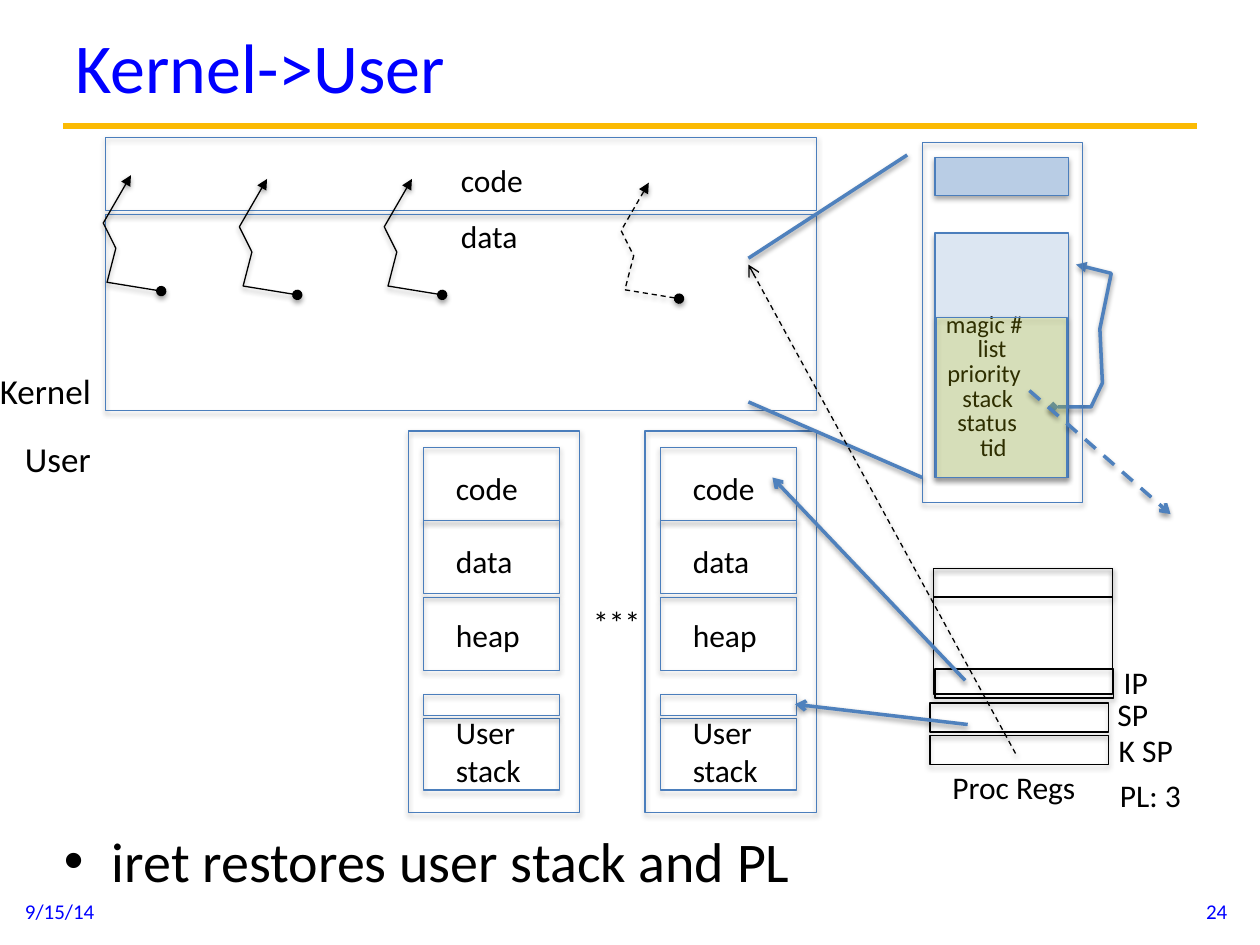
import pptx
import pptx.dml.color
import pptx.enum.dml
import pptx.enum.shapes
import pptx.enum.text
import pptx.oxml
import pptx.oxml.ns
import pptx.util

Inches = pptx.util.Inches
Pt = pptx.util.Pt
ANCHOR = pptx.enum.text.MSO_ANCHOR
ALIGN = pptx.enum.text.PP_ALIGN
NS = pptx.oxml.ns.nsdecls("a")

COLORS = {
    "black": "000000", "title": "0000FF", "rule": "FBBA03",
    "outline": "4B7EBC", "arrow": "4F81BD",
    "page": "DCE6F2", "code": "B9CDE5", "highlight": "FFFF00",
}


def rgb(name):
    return pptx.dml.color.RGBColor.from_string(COLORS[name])


def write_text(tf, text, size=18, color="black", align=ALIGN.LEFT,
               anchor=ANCHOR.TOP, wrap=False, bullet=False):
    """Fill a text frame, one paragraph for each line of text."""
    tf.word_wrap = wrap
    if not wrap:
        tf.auto_size = pptx.enum.text.MSO_AUTO_SIZE.SHAPE_TO_FIT_TEXT
    tf.vertical_anchor = anchor
    for i, line in enumerate(text.split("\n")):
        p = tf.paragraphs[0] if i == 0 else tf.add_paragraph()
        p.alignment = align
        if bullet:
            pPr = p._p.get_or_add_pPr()
            pPr.set("marL", str(Inches(0.38)))
            pPr.set("indent", str(-Inches(0.38)))
            pPr.append(pptx.oxml.parse_xml(f'<a:buFont {NS} typeface="Arial"/>'))
            pPr.append(pptx.oxml.parse_xml(f'<a:buChar {NS} char="•"/>'))
        r = p.add_run()
        r.text = line
        r.font.name = "Calibri"
        r.font.size = Pt(size)
        r.font.color.rgb = rgb(color)


class SlideBuilder:
    def __init__(self, slide):
        self.s = slide

    def text(self, x, y, w, h, text, **fmt):
        box = self.s.shapes.add_textbox(Inches(x), Inches(y), Inches(w), Inches(h))
        write_text(box.text_frame, text, **fmt)

    def shadow(self, sp, blur, dist, alpha):
        sp._element.spPr.append(pptx.oxml.parse_xml(
            f'<a:effectLst {NS}><a:outerShdw blurRad="{Pt(blur)}" dist="{Pt(dist)}" '
            f'dir="5400000" rotWithShape="0"><a:srgbClr val="{COLORS["black"]}">'
            f'<a:alpha val="{alpha * 1000}"/></a:srgbClr></a:outerShdw></a:effectLst>'))

    def rect(self, x, y, w, h, fill=None, line="outline", alpha=None):
        sp = self.s.shapes.add_shape(pptx.enum.shapes.MSO_SHAPE.RECTANGLE,
                                     Inches(x), Inches(y), Inches(w), Inches(h))
        if fill:
            sp.fill.solid()
            sp.fill.fore_color.rgb = rgb(fill)
        else:
            sp.fill.background()
        if alpha:
            clr = sp._element.spPr.find(".//" + pptx.oxml.ns.qn("a:srgbClr"))
            clr.append(pptx.oxml.parse_xml(f'<a:alpha {NS} val="{alpha * 1000}"/>'))
        sp.line.color.rgb = rgb(line)
        sp.line.width = Pt(0.75)
        self.shadow(sp, 3.1, 1.8, 35)

    def stroke(self, sp, color, width, dash, head, tail, shadow=True):
        sp.line.color.rgb = rgb(color)
        sp.line.width = Pt(width)
        if dash:
            sp.line.dash_style = pptx.enum.dml.MSO_LINE.DASH
        ln = sp._element.spPr.find(pptx.oxml.ns.qn("a:ln"))
        for tag, kind in (("headEnd", head), ("tailEnd", tail)):
            if kind:
                ln.append(pptx.oxml.parse_xml(f'<a:{tag} {NS} type="{kind}"/>'))
        if shadow:
            self.shadow(sp, 3.1, 1.6, 38)
        else:
            sp._element.spPr.append(pptx.oxml.parse_xml(f"<a:effectLst {NS}/>"))

    def line(self, start, end, color="arrow", width=2, dash=False, tail=None, shadow=True):
        cx = self.s.shapes.add_connector(
            pptx.enum.shapes.MSO_CONNECTOR.STRAIGHT,
            *(Inches(v) for v in (*start, *end)))
        self.stroke(cx, color, width, dash, None, tail, shadow)

    def path_line(self, points, color="black", width=0.75, dash=False, head="oval"):
        pts = [(Inches(x), Inches(y)) for x, y in points]
        fb = self.s.shapes.build_freeform(*pts[0])
        fb.add_line_segments(pts[1:], close=False)
        sp = fb.convert_to_shape()
        sp.fill.background()
        self.stroke(sp, color, width, dash, head, "triangle")

    def process(self, x):
        """User address space: labelled segments inside a frame."""
        for y, h in ((5.7, 0.57), (5.51, 0.17), (3.55, 0.58), (4.13, 0.58), (4.74, 0.58)):
            self.rect(x + 0.12, y, 1.08, h)
        for y, w, label in ((3.67, 0.7, "code"), (4.25, 0.66, "data"), (4.84, 0.73, "heap")):
            self.text(x + 0.28, y, w, 0.4, label)
        self.text(x + 0.28, 5.61, 0.73, 0.71, "User\nstack")
        self.rect(x, 3.42, 1.36, 3.03)

    def thread(self, x, y, dash=False):
        """Zigzag thread of execution running up into the code."""
        zigzag = ((0.46, 0.92), (0.03, 0.85), (0.1, 0.58), (0, 0.38), (0.22, 0))
        self.path_line([(x + dx, y + dy) for dx, dy in zigzag], dash=dash)


def main():
    prs = pptx.Presentation()
    prs.slide_width, prs.slide_height = Inches(10), Inches(7.5)
    b = SlideBuilder(prs.slides.add_slide(prs.slide_layouts[6]))

    # Title, bullet and footer
    b.line((0.5, 1), (9.5, 1), color="rule", width=3.75, shadow=False)
    b.text(0.5, 0.04, 9, 0.96, "Kernel->User", size=40, color="title",
           anchor=ANCHOR.MIDDLE, wrap=True)
    b.text(0.41, 6.51, 9, 0.64, "iret restores user stack and PL", size=32,
           wrap=True, bullet=True)
    footer = dict(size=12, color="title", anchor=ANCHOR.MIDDLE, wrap=True)
    b.text(0.1, 7.03, 2.33, 0.4, "9/15/14", **footer)
    b.text(7.51, 7.03, 2.33, 0.4, "24", align=ALIGN.RIGHT, **footer)

    # User processes
    b.text(-0.1, 2.88, 0.94, 0.44, "Kernel", size=20)
    b.text(0.1, 3.42, 0.73, 0.44, "User", size=20)
    for x in (5.12, 3.24):
        b.process(x)
    b.text(4.61, 4.74, 0.58, 0.4, "***")

    # Kernel memory
    b.rect(0.84, 1.09, 5.64, 0.58)
    b.text(3.56, 1.23, 0.7, 0.4, "code")
    b.text(3.56, 1.67, 0.66, 0.4, "data")
    b.rect(0.84, 1.7, 5.64, 1.56)

    # Thread control block
    b.rect(7.42, 1.85, 1.06, 1.94, fill="page")
    fields = (("magic #", 7.41, 1.1), ("list", 7.66, 0.58), ("priority", 7.42, 1.06),
              ("stack", 7.54, 0.82), ("status", 7.5, 0.92), ("tid", 7.68, 0.56))
    for i, (label, x, w) in enumerate(fields):
        b.text(x, 2.4 + i * 0.196, w, 0.41, label, size=14, wrap=True)
    b.rect(7.42, 1.25, 1.06, 0.3, fill="code")
    b.path_line([(8.36, 3.23), (8.66, 3.23), (8.75, 3.04), (8.73, 2.61),
                 (8.82, 2.17), (8.54, 2.1)], color="arrow", width=2, head="diamond")
    b.rect(7.43, 2.52, 1.04, 1.27, fill="highlight", alpha=18)
    b.rect(7.32, 1.13, 1.27, 2.86)
    b.line((8.17, 3.1), (9.29, 4.08), dash=True, tail="arrow")
    b.line((5.94, 2.05), (7.2, 1.23))
    b.line((5.94, 3.19), (7.32, 3.79))

    # Processor registers
    b.rect(7.41, 4.51, 1.42, 1, line="black")
    for x, y in ((7.41, 4.51), (7.42, 5.31), (7.38, 5.58), (7.38, 5.84)):
        b.rect(x, y, 1.42, 0.23, line="black")
    for x, y, w, label in ((8.82, 5.21, 0.4, "IP"), (8.77, 5.47, 0.45, "SP"),
                           (8.78, 5.75, 0.64, "K SP"), (8.79, 6.11, 0.69, "PL: 3"),
                           (7.46, 6.05, 1.2, "Proc Regs")):
        b.text(x, y, w, 0.4, label)
    b.line((7.68, 5.75), (6.31, 5.59), tail="arrow")
    b.line((8.06, 5.98), (5.94, 2.1), color="black", width=0.75, dash=True, tail="arrow")
    b.line((7.66, 5.4), (6.13, 3.79), tail="arrow")

    # Kernel threads
    for x, y, dash in ((0.82, 1.39, False), (1.9, 1.42, False),
                       (3.05, 1.42, False), (4.93, 1.45, True)):
        b.thread(x, y, dash)

    prs.save("out.pptx")


if __name__ == "__main__":
    main()
